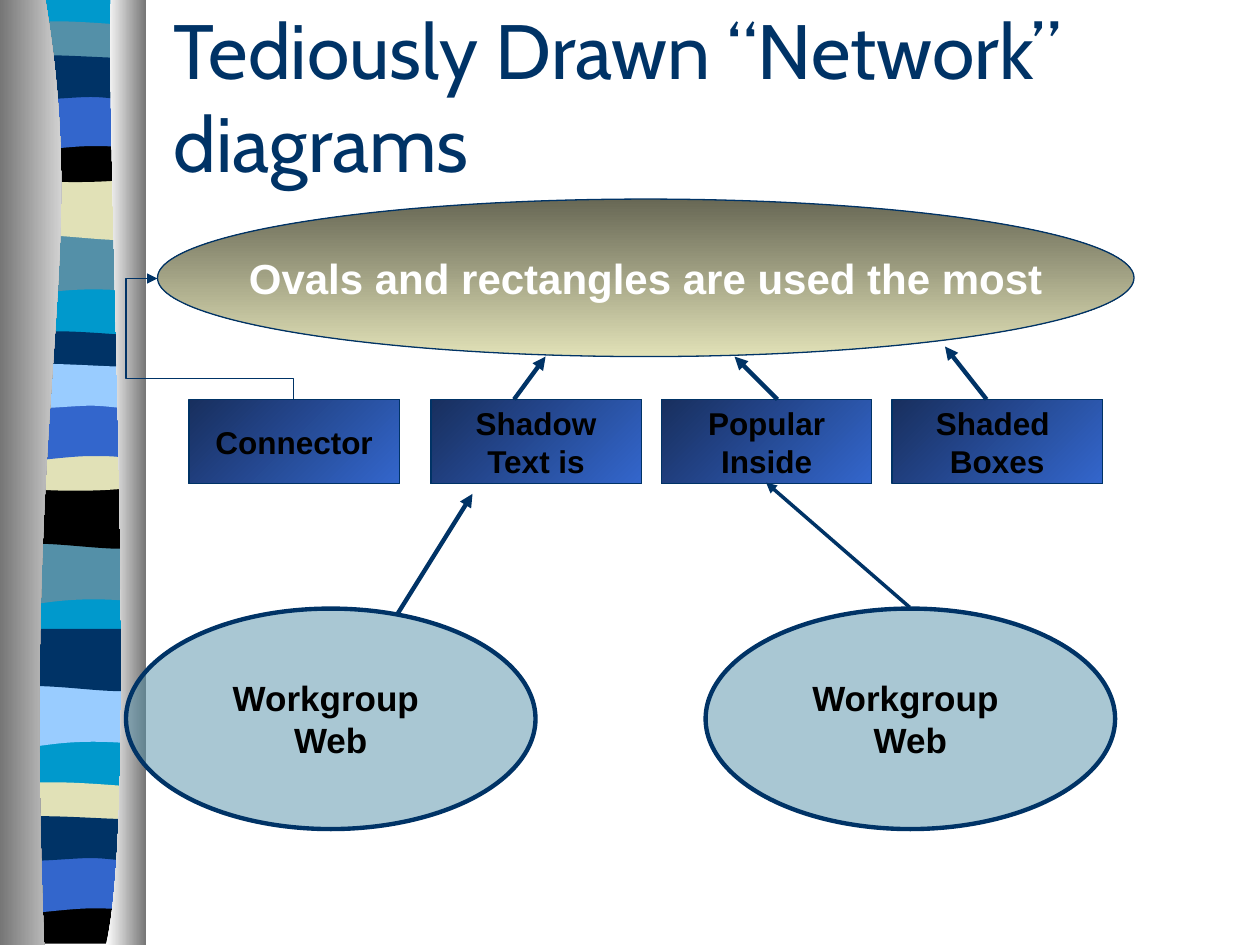
from lxml.etree import SubElement
from pptx import Presentation
from pptx.dml.color import RGBColor
from pptx.enum.shapes import MSO_CONNECTOR, MSO_SHAPE
from pptx.enum.text import MSO_ANCHOR, MSO_AUTO_SIZE, PP_ALIGN
from pptx.oxml.ns import qn
from pptx.util import Inches, Pt

COLOURS = {
    "navy": "003366", "blue": "3366CC", "sky": "99CCFF", "cyan": "0099CC",
    "slate": "5490A8", "sand": "E1E1B7", "black": "000000", "white": "FFFFFF",
    "grey": "767676", "dark sand": "686855", "dark blue": "182F5E",
}

# Outlines measured from a band's left edge and top: a pair is a corner,
# six numbers are a Bezier curve.
BAND_OUTLINES = {
    "wave": [(1.09, 0), (1.09, 0.47), (0.34, 0.39, 0.19, 0.55, 0, 0.47), (0, 0)],
    "ripple": [(1.09, 0), (1.09, 0.47), (0.91, 0.55, 0.34, 0.41, 0, 0.47), (0, 0)],
    "lens": [(1.09, 0.05), (1.09, 0.29), (0.91, 0.34, 0.19, 0.34, 0, 0.29),
             (0, 0.05), (0.07, 0, 0.24, 0.01, 0.42, 0.01),
             (0.6, 0.01, 0.95, 0.04, 1.09, 0.05)],
    "bowl": [(1.09, 0), (1.09, 0.32), (0.91, 0.38, 0.19, 0.38, 0, 0.32),
             (0, 0), (0.67, 0.05, 0.86, 0, 1.09, 0)],
    "arch": [(1.09, 0), (1.09, 0.47), (0.92, 0.42, 0.85, 0.42, 0.67, 0.42),
             (0.49, 0.42, 0.17, 0.47, 0, 0.47), (0, 0)],
    "ribbon": [(1.09, 0.05), (1.09, 0.36), (1.02, 0.41, 0.85, 0.36, 0.67, 0.36),
               (0.49, 0.36, 0.12, 0.41, 0, 0.36), (0, 0.05),
               (0.16, 0, 0.74, 0.05, 0.92, 0.05),
               (1.1, 0.05, 1.05, 0.05, 1.09, 0.05)],
    "floor": [(1.09, 0), (1.09, 0.37), (0, 0.37), (0, 0),
              (0.67, 0.05, 0.86, 0, 1.09, 0)],
}
BANDS = [  # outline, top, colour, from back to front
    ("wave", 1.85, "slate"), ("ripple", 1.41, "sand"), ("lens", 0.16, "slate"),
    ("bowl", 1.08, "black"), ("arch", 0.74, "blue"), ("ribbon", 0.41, "navy"),
    ("wave", 4.31, "slate"), ("ripple", 3.86, "black"), ("lens", 2.62, "navy"),
    ("bowl", 3.53, "sand"), ("arch", 3.2, "blue"), ("ribbon", 2.86, "sky"),
    ("wave", 5.44, "sky"), ("ripple", 4.99, "navy"), ("lens", 6.2, "sand"),
    ("floor", 7.12, "black"), ("arch", 6.79, "blue"), ("ribbon", 6.45, "navy"),
]
LEFT_COLUMN = [(0.36, 0), (0.72, 2.16, 0.17, 2.96, 0.35, 7.5), (0, 7.5), (0, 0)]
RIGHT_COLUMN = [(0.88, 0), (0.84, 1.25, 1.11, 6.46, 0.84, 7.5),
                (1.16, 7.5), (1.16, 0)]


def rgb(name):
    return RGBColor.from_string(COLOURS[name])


def paint(shape, colours, angle=0, line_width=None):
    """Fill with one colour or a two-colour gradient, and set the outline."""
    shape.shadow.inherit = False
    if len(colours) == 1:
        shape.fill.solid()
        shape.fill.fore_color.rgb = rgb(colours[0])
    else:
        shape.fill.gradient()
        shape.fill.gradient_angle = angle
        for stop, colour in zip(shape.fill.gradient_stops, colours):
            stop.color.rgb = rgb(colour)
    if line_width:
        shape.line.color.rgb = rgb("navy")
        shape.line.width = Pt(line_width)
    else:
        shape.line.fill.background()


def bend(shape, outline):
    """Join the three lines that stand for each Bezier curve into that curve."""
    lines = iter(shape._element.findall(".//" + qn("a:lnTo")))
    for part in outline[1:]:
        first = next(lines)
        if len(part) == 6:
            first.tag_name = None
            curve = first.makeelement(qn("a:cubicBezTo"))
            first.addprevious(curve)
            for line in (first, next(lines), next(lines)):
                curve.append(line[0])
                line.getparent().remove(line)


def add_outline(page, outline, colours, left=0, top=0):
    points = [(Inches(left + x), Inches(top + y))
              for part in outline for x, y in zip(part[::2], part[1::2])]
    builder = page.shapes.build_freeform(*points[0], scale=1.0)
    builder.add_line_segments(points[1:], close=True)
    shape = builder.convert_to_shape()
    bend(shape, outline)
    paint(shape, colours)


def add_side_border(page):
    add_outline(page, [(1.14, 0), (1.14, 7.47), (0.05, 7.47), (0.05, 0)], ["cyan"])
    for name, top, colour in BANDS:
        add_outline(page, BAND_OUTLINES[name], [colour], 0.05, top)
    add_outline(page, LEFT_COLUMN, ["grey", "white"])
    add_outline(page, RIGHT_COLUMN, ["white", "grey"])


def format_text(frame, align, **font_format):
    colour = font_format.pop("colour")
    for para in frame.paragraphs:
        para.alignment = align
        for span in para.runs:
            span.font.color.rgb = rgb(colour)
            for name, value in font_format.items():
                setattr(span.font, name, value)


def add_title(page, text):
    title = page.shapes.title
    place = {"left": 1.28, "top": 0.5, "width": 8.5, "height": 1.25}
    for name, value in place.items():
        setattr(title, name, Inches(value))
    frame = title.text_frame
    frame.text = text
    settings = {"word_wrap": True, "auto_size": MSO_AUTO_SIZE.NONE,
                "vertical_anchor": MSO_ANCHOR.BOTTOM, "margin_bottom": Inches(0.26)}
    for name, value in settings.items():
        setattr(frame, name, value)
    format_text(frame, PP_ALIGN.LEFT, name="Cabin", size=Pt(44), colour="navy")


def add_node(page, kind, place, text, size, colours, angle=0, line_width=0.75,
             text_colour="black"):
    box = page.shapes.add_shape(kind, *map(Inches, place))
    paint(box, colours, angle, line_width)
    frame = box.text_frame
    frame.text = text
    frame.word_wrap = False
    frame.vertical_anchor = MSO_ANCHOR.MIDDLE
    format_text(frame, PP_ALIGN.CENTER, name="Arial", size=Pt(size), bold=True,
                colour=text_colour)
    return box


def add_arrow(page, start, end, width, kind=MSO_CONNECTOR.STRAIGHT):
    arrow = page.shapes.add_connector(kind, *map(Inches, start + end))
    arrow.line.color.rgb = rgb("navy")
    arrow.line.width = Pt(width)
    SubElement(arrow.line._get_or_add_ln(), qn("a:tailEnd"), type="triangle")
    SubElement(arrow._element.spPr, qn("a:effectLst"))
    return arrow


def add_bent_arrow(page):
    """Lead from the top of the first box round to the left of the top oval."""
    arrow = add_arrow(page, (2.27, 2.15), (1.31, 3.23), 0.75, MSO_CONNECTOR.ELBOW)
    properties = arrow._element.spPr
    properties.find(qn("a:xfrm")).set("rot", str(90 * 60000))
    geometry = properties.find(qn("a:prstGeom"))
    geometry.set("prst", "bentConnector4")
    guides = geometry.find(qn("a:avLst"))
    if guides is None:
        guides = SubElement(geometry, qn("a:avLst"))
    for name, value in (("adj1", 17400), ("adj2", 123100)):
        SubElement(guides, qn("a:gd"), name=name, fmla=f"val {value}")


def add_workgroup(page, left):
    oval = add_node(page, MSO_SHAPE.OVAL, (left, 4.83, 3.25, 1.75),
                    "Workgroup \vWeb", 20, ["slate"], line_width=2.5)
    colour = oval._element.spPr.find(qn("a:solidFill"))[0]
    SubElement(colour, qn("a:alpha"), val="50000")


def main():
    deck = Presentation()
    deck.slide_width, deck.slide_height = Inches(10), Inches(7.5)
    page = deck.slides.add_slide(deck.slide_layouts[5])
    add_side_border(page)
    add_title(page, "Tediously Drawn “Network” diagrams")
    add_node(page, MSO_SHAPE.OVAL, (1.25, 1.58, 7.75, 1.25),
             "Ovals and rectangles are used the most", 24, ["dark sand", "sand"],
             angle=270, text_colour="white")
    boxes = {1.5: "Connector", 3.42: "Shadow\nText is",
             5.25: "Popular\nInside", 7.08: "Shaded \nBoxes"}
    for left, text in boxes.items():
        add_node(page, MSO_SHAPE.RECTANGLE, (left, 3.17, 1.67, 0.67), text, 18,
                 ["dark blue", "blue"], angle=315)
    for start, end in (((7.83, 3.17), (7.5, 2.75)), ((6.17, 3.17), (5.83, 2.83)),
                       ((4.08, 3.17), (4.33, 2.83))):
        add_arrow(page, start, end, 2.5)
    add_bent_arrow(page)
    add_arrow(page, (7.22, 4.82), (6.08, 3.83), 2)
    for left in (5.6, 1):
        add_workgroup(page, left)
    add_arrow(page, (3.15, 4.88), (3.75, 3.92), 2.5)
    deck.save("out.pptx")


if __name__ == "__main__":
    main()
